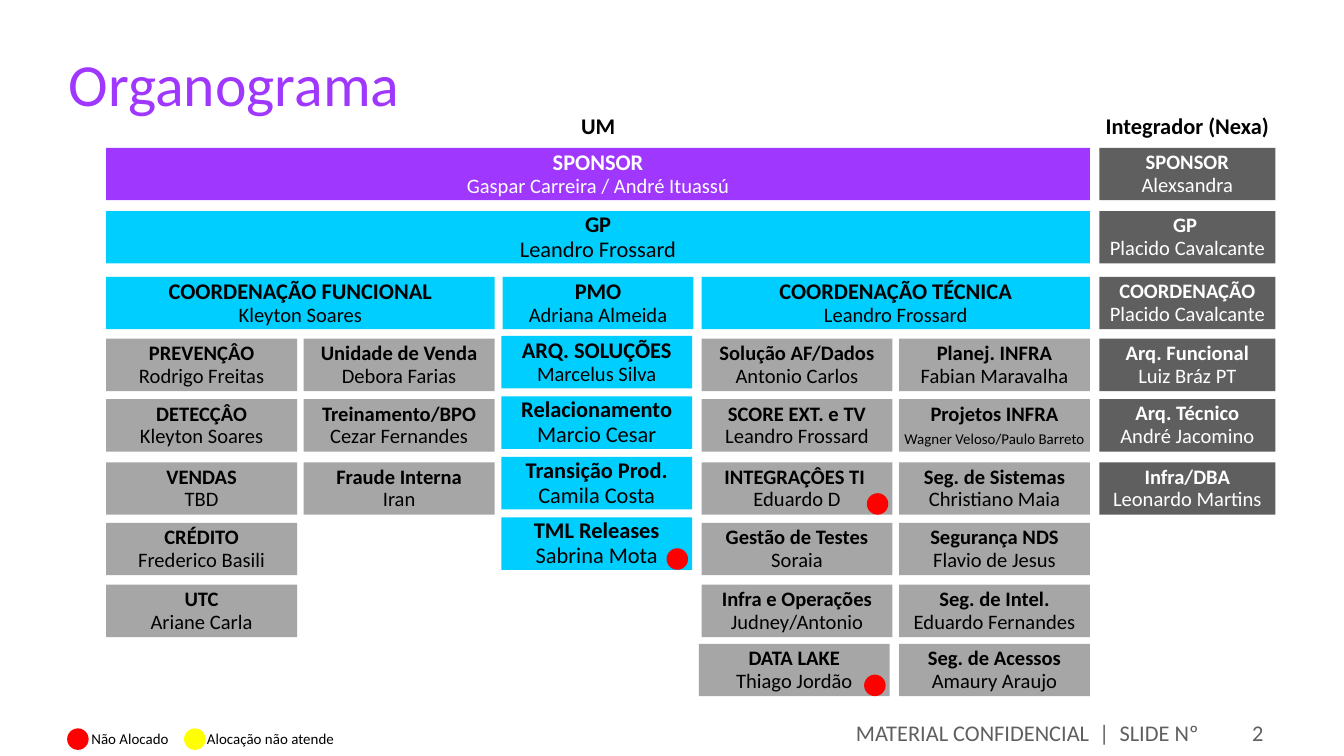
from pptx import Presentation, util as u
from pptx.dml import color
from pptx.enum import shapes, text

PX = 9144
ROWS = (33, 80, 129, 175, 220, 267, 312, 358, 402)
HIGH = 39
BLACK, WHITE, GREY, DARK = "000000", "FFFFFF", "A6A6A6", "5F5F5F"
CYAN, PURPLE, RED, YELLOW = "00CEFF", "9F37FE", "FF0000", "FFFF00"
MID = text.MSO_ANCHOR.MIDDLE
LOW = text.MSO_ANCHOR.BOTTOM
LEFT, CENTER, RIGHT = text.PP_ALIGN.LEFT, text.PP_ALIGN.CENTER, text.PP_ALIGN.RIGHT

PREVENT = [("PREVENÇÂO", "Rodrigo Freitas"), ("DETECÇÂO", "Kleyton Soares"),
           ("VENDAS", "TBD"), ("CRÉDITO", "Frederico Basili"), ("UTC", "Ariane Carla")]
SALES = [("Unidade de Venda", "Debora Farias"), ("Treinamento/BPO", "Cezar Fernandes"),
         ("Fraude Interna", "Iran")]
OFFICE = [("ARQ. SOLUÇÕES", "Marcelus Silva", 11), ("Relacionamento", "Marcio Cesar"),
          ("Transição Prod.", "Camila Costa"), ("TML Releases", "Sabrina Mota")]
TECH = [("Solução AF/Dados", "Antonio Carlos"), ("SCORE EXT. e TV", "Leandro Frossard"),
        ("INTEGRAÇÔES TI ", "Eduardo D"), ("Gestão de Testes", "Soraia"),
        ("Infra e Operações", "Judney/Antonio")]
LAKE = [("DATA LAKE", "Thiago Jordão")]
INFRA = [("Planej. INFRA", "Fabian Maravalha"),
         ("Projetos INFRA", "Wagner Veloso/Paulo Barreto", 8),
         ("Seg. de Sistemas", "Christiano Maia"), ("Segurança NDS", "Flavio de Jesus"),
         ("Seg. de Intel.", "Eduardo Fernandes"), ("Seg. de Acessos", "Amaury Araujo")]
PARTNER = [("SPONSOR", "Alexsandra"), ("GP ", "Placido Cavalcante"),
           ("COORDENAÇÃO", "Placido Cavalcante"), ("Arq. Funcional", "Luiz Bráz PT"),
           ("Arq. Técnico", "André Jacomino"), ("Infra/DBA", "Leonardo Martins")]
VACANT = {"Eduardo D", "Thiago Jordão", "Sabrina Mota"}


def rgb(code):
    """Turn a hex string into a colour."""
    return color.RGBColor.from_string(code)


def emu(box):
    """Turn a box in px into EMU lengths."""
    return [n * PX for n in box]


def write(frame, words, size=12, ink=BLACK, bold=False, align=LEFT, gap=0.93,
          anchor=MID, pad=(4, 0), wrap=False, first=True):
    """Put one formatted paragraph into a text frame."""
    frame.word_wrap, frame.vertical_anchor = wrap, anchor
    frame.margin_left = frame.margin_right = pad[0] * PX
    frame.margin_top = frame.margin_bottom = pad[1] * PX
    para = frame.paragraphs[0] if first else frame.add_paragraph()
    para.alignment, para.line_spacing = align, gap
    run = para.add_run()
    run.text = words
    run.font.name, run.font.size, run.font.bold = "Calibri", u.Pt(size), bold
    run.font.color.rgb = rgb(ink)


def label(page, box, words, **look):
    """Add a text box."""
    write(page.shapes.add_textbox(*emu(box)).text_frame, words, **look)


def solid(page, kind, box, fill):
    """Add a plain filled shape without line or shadow."""
    form = page.shapes.add_shape(kind, *emu(box))
    form.shadow.inherit = False
    form.fill.solid()
    form.fill.fore_color.rgb = rgb(fill)
    form.line.fill.background()
    return form


def dot(page, x, y, fill):
    """Add a round status mark."""
    solid(page, shapes.MSO_SHAPE.OVAL, (x, y, 16, 16), fill)


def card(page, box, role, name, small=None, fill=GREY, size=11, ink=BLACK, gap=0.93):
    """Add a box with a role, a name and, when vacant, a mark."""
    frame = solid(page, shapes.MSO_SHAPE.RECTANGLE, box, fill).text_frame
    look = dict(ink=ink, align=CENTER, gap=gap)
    write(frame, role, size=size, bold=True, **look)
    write(frame, name, size=small or size, first=False, **look)
    if name in VACANT:
        dot(page, box[0] + 123, box[1] + 23, RED)


def stack(page, x, tops, wide, staff, **look):
    """Add a column of cards at the given tops."""
    for top, who in zip(tops, staff):
        card(page, (x, top, wide, HIGH), *who, **look)


def client(page, box):
    """Draw the client's side of the chart."""
    x, y, wide, _ = box
    tops = [y + row for row in ROWS]
    cyan = dict(fill=CYAN, size=12)
    label(page, (x, y, wide, 32), "UM", bold=True, align=CENTER, anchor=LOW, pad=(4, 5))
    card(page, (x, tops[0], wide, HIGH), "SPONSOR", "Gaspar Carreira / André Ituassú", 11,
         fill=PURPLE, size=12, ink=WHITE)
    card(page, (x, tops[1], wide, HIGH), "GP", "Leandro Frossard", **cyan)
    for left, span, role, name in ((0, 289, "COORDENAÇÃO FUNCIONAL", "Kleyton Soares"),
                                   (295, 142, "PMO", "Adriana Almeida"),
                                   (443, 289, "COORDENAÇÃO TÉCNICA", "Leandro Frossard")):
        card(page, (x + left, tops[2], span, HIGH), role, name, 11, **cyan)
    for left, row, staff in ((0, 3, PREVENT), (147, 3, SALES), (443, 3, TECH),
                             (441, 8, LAKE), (590, 3, INFRA)):
        stack(page, x + left, tops[row:], 142, staff, gap=u.Pt(12))
    stack(page, x + 294, range(y + 173, y + 350, 45), 142, OFFICE, **cyan)


def partner(page, box):
    """Draw the integrator's column."""
    x, y, wide, _ = box
    label(page, (x, y, wide, 32), "Integrador (Nexa)", bold=True, align=CENTER,
          anchor=LOW, pad=(4, 5))
    stack(page, x, [y + row for row in ROWS], wide, PARTNER, fill=DARK, ink=WHITE)


def legend(page, box):
    """Explain the status marks."""
    x, y, _, high = box
    for left, shift, span, fill, words in ((0, 14, 70, RED, "Não Alocado"),
                                           (87, 100, 121, YELLOW, "Alocação não atende")):
        dot(page, x + left, y + 5, fill)
        label(page, (x + shift, y, span, high), words, size=8)


def footer(page, box):
    """Write the notice and the slide number."""
    x, y, wide, high = box
    look = dict(ink=DARK, align=RIGHT, gap=1.0, pad=(10, 5), wrap=True)
    label(page, (x, y, wide - 48, high), "MATERIAL CONFIDENCIAL  |  SLIDE Nº", **look)
    label(page, (x + wide - 48, y, 48, high), "2", **look)


def header(page, box):
    """Place and format the title."""
    title = page.shapes.title
    title.left, title.top, title.width, title.height = emu(box)
    write(title.text_frame, "Organograma", size=32, ink="A037FF", gap=u.Pt(42),
          anchor=text.MSO_ANCHOR.TOP, pad=(0, 0), wrap=True)


def main():
    """Build the organisation chart slide."""
    deck = Presentation()
    deck.slide_width = 1000 * PX
    deck.slide_height = deck.slide_width * 9 // 16
    page = deck.slides.add_slide(deck.slide_layouts[5])
    header(page, (51, 30, 614, 86))
    client(page, (79, 77, 732, 441))
    partner(page, (818, 77, 131, 306))
    legend(page, (50, 537, 221, 27))
    footer(page, (50, 533, 900, 24))
    deck.save("out.pptx")


if __name__ == "__main__":
    main()
